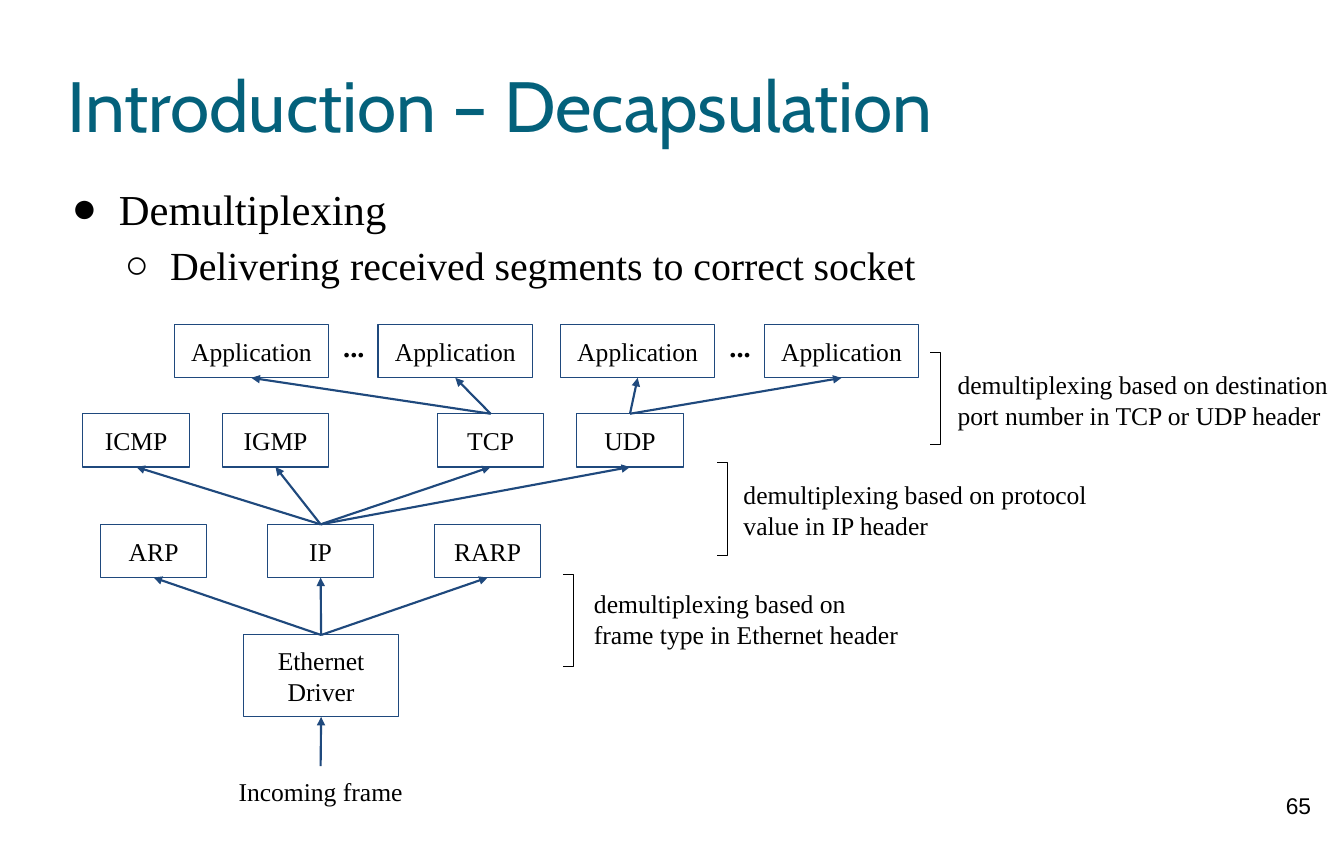
from lxml import etree
from pptx import Presentation
from pptx.dml.color import RGBColor
from pptx.enum.shapes import MSO_CONNECTOR as Line, MSO_SHAPE as Shape
from pptx.enum.text import MSO_ANCHOR as Anchor, MSO_AUTO_SIZE as Fit, PP_ALIGN as Align
from pptx.oxml.ns import qn
from pptx.util import Inches, Pt

BLACK = RGBColor(0, 0, 0)
TEAL = RGBColor(0x04, 0x61, 0x7B)
NAVY = RGBColor(0x1F, 0x49, 0x7D)
SERIF = "Times New Roman"

TITLE = "Introduction – Decapsulation"
# text, size, bullet, left margin, hanging indent
BULLETS = [
    ("Demultiplexing", 30, "●", 0.5, 0.46),
    ("Delivering received segments to correct socket", 28, "○", 1, 0.44),
]
# top, box width, box height, then each box as (text, left)
LAYERS = [
    (3.17, 1.51, 0.52, [("Application", 1.7), ("Application", 3.69),
                        ("Application", 5.47), ("Application", 7.46)]),
    (4.04, 1.04, 0.52, [("ICMP", 0.81), ("IGMP", 2.17), ("TCP", 4.27), ("UDP", 5.63)]),
    (5.12, 1.04, 0.52, [("ARP", 0.98), ("IP", 2.61), ("RARP", 4.24)]),
    (6.2, 1.51, 0.8, [("Ethernet\nDriver", 2.38)]),
]
# layer and place of the sender, places it reaches in the layer above
LINKS = [(3, 0, (0, 1, 2)), (2, 1, (0, 1, 2, 3)), (1, 2, (0, 1)), (1, 3, (2, 3))]
# bracket right edge and top, then note text, left, top, width, height
NOTES = [
    (9.18, 3.44, "demultiplexing based on destination port number in TCP or UDP header",
     9.25, 3.5, 3.87, 0.98),
    (7.1, 4.52, "demultiplexing based on protocol value in IP header",
     7.16, 4.58, 3.87, 0.98),
    (5.6, 5.61, "demultiplexing based on frame type in Ethernet header",
     5.7, 5.64, 3.25, 0.63),
]
DOTS = [2.9, 6.67]
HOOK, SPAN = 0.1, 0.9

deck = Presentation()
deck.slide_width, deck.slide_height = Inches(13.12), Inches(8.27)
slide = deck.slides.add_slide(deck.slide_layouts[1])
shapes = slide.shapes


def place(shape, left, top, width, height):
    shape.left, shape.top = Inches(left), Inches(top)
    shape.width, shape.height = Inches(width), Inches(height)


def inset(frame, gap):
    frame.margin_left = frame.margin_right = Inches(gap)
    frame.margin_top = frame.margin_bottom = Inches(gap)
    frame.word_wrap = True


def style(font, size, color=BLACK, name=SERIF, bold=False):
    font.size, font.name, font.bold = Pt(size), name, bold
    font.color.rgb = color


def write(frame, text, size=18, align=Align.CENTER, **look):
    inset(frame, 0.1)
    for i, line in enumerate(text.split("\n")):
        para = frame.add_paragraph() if i else frame.paragraphs[0]
        para.alignment = align
        run = para.add_run()
        run.text = line
        style(run.font, size, **look)


def label(text, left, top, width, height, **look):
    box = shapes.add_textbox(*map(Inches, (left, top, width, height)))
    write(box.text_frame, text, **look)
    return box


def node(text, left, top, width, height):
    box = shapes.add_shape(Shape.RECTANGLE, *map(Inches, (left, top, width, height)))
    box.shadow.inherit = False
    box.fill.background()
    box.line.color.rgb = NAVY
    box.line.width = Pt(0.75)
    box.text_frame.vertical_anchor = Anchor.MIDDLE
    write(box.text_frame, text)
    return box


def arrow(low, high):
    """Point from the top of one box to the bottom of the box above."""
    link = shapes.add_connector(Line.STRAIGHT, 0, 0, 0, 0)
    link.begin_connect(low, 0)
    link.end_connect(high, 2)
    link.line.color.rgb = NAVY
    link.line.width = Pt(1.5)
    etree.SubElement(link.line._get_or_add_ln(), qn("a:tailEnd"), type="triangle")
    etree.SubElement(link._element.spPr, qn("a:effectLst"))


def bracket(right, top):
    left, low = right - HOOK, top + SPAN
    path = shapes.build_freeform(Inches(left), Inches(top))
    path.add_line_segments([(Inches(x), Inches(y)) for x, y in
                            ((right, top), (right, low), (left, low))], close=False)
    edge = path.convert_to_shape()
    edge.shadow.inherit = False
    edge.fill.background()
    edge.line.color.rgb = BLACK
    edge.line.width = Pt(0.75)


title = shapes.title
place(title, 0.66, 0.33, 11.81, 1.38)
frame = title.text_frame
inset(frame, 0)
frame.auto_size = Fit.NONE
frame.vertical_anchor = Anchor.MIDDLE
para = frame.paragraphs[0]
para.alignment = Align.LEFT
run = para.add_run()
run.text = TITLE
style(run.font, 50, TEAL, "Cabin")

body = slide.placeholders[1]
place(body, 0.66, 1.71, 11.84, 1.05)
frame = body.text_frame
inset(frame, 0)
frame.auto_size = Fit.SHAPE_TO_FIT_TEXT
for i, (text, size, mark, margin, hang) in enumerate(BULLETS):
    para = frame.add_paragraph() if i else frame.paragraphs[0]
    para.level = i
    props = para._p.get_or_add_pPr()
    props.set("marL", str(Inches(margin)))
    props.set("indent", str(-Inches(hang)))
    etree.SubElement(props, qn("a:buFont"), typeface=SERIF)
    etree.SubElement(props, qn("a:buChar"), char=mark)
    para.line_spacing = 1.15
    para.space_before = Pt(0)
    run = para.add_run()
    run.text = text
    style(run.font, size)

layers = [[node(text, left, top, width, height) for text, left in row]
          for top, width, height, row in LAYERS]
for layer, spot, goals in LINKS:
    for goal in goals:
        arrow(layers[layer][spot], layers[layer - 1][goal])
arrow(label("Incoming frame", 2.22, 7.48, 1.82, 0.52), layers[3][0])

for left in DOTS:
    label("...", left, 3.11, 1.11, 0.63, size=20, bold=True)
for right, top, text, *area in NOTES:
    bracket(right, top)
    label(text, *area, align=Align.LEFT)
label("65", 12.28, 7.63, 0.79, 0.63, size=16, name="Arial")

deck.save("out.pptx")
